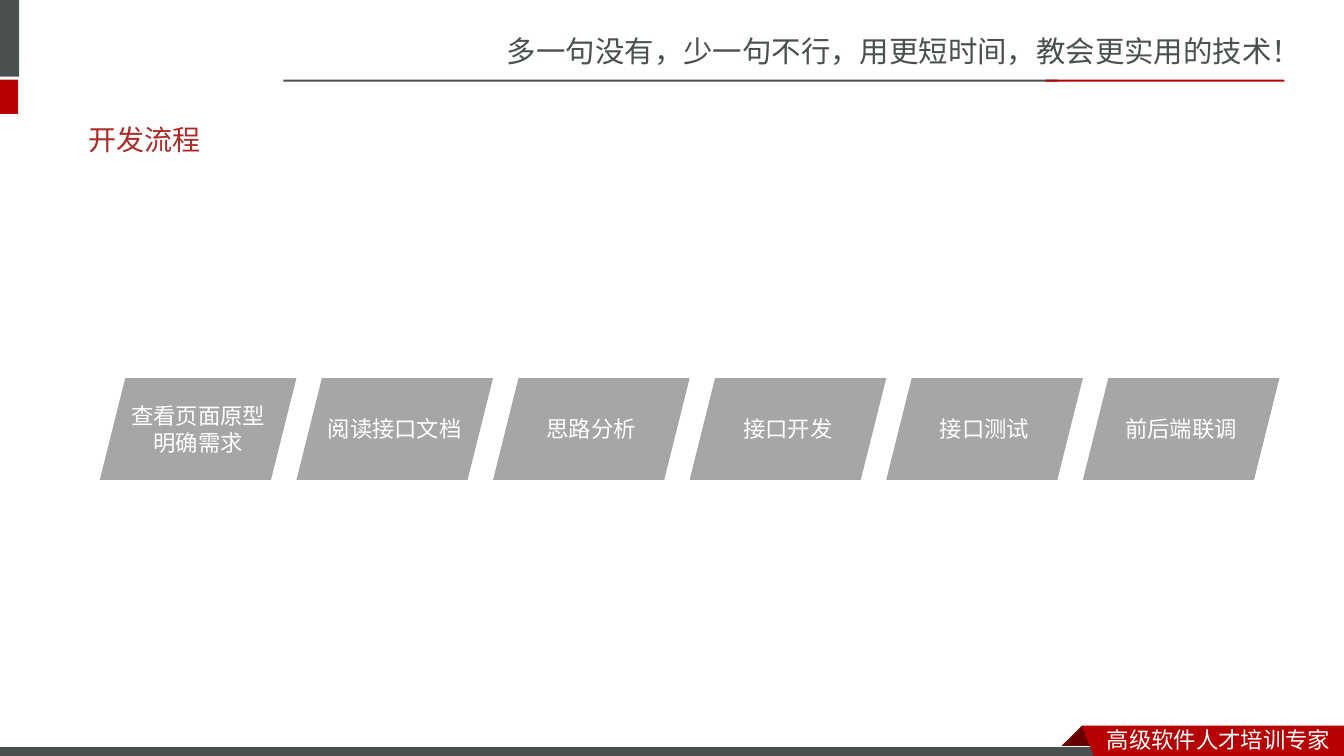
from lxml import etree
from pptx import Presentation
from pptx.dml.color import RGBColor
from pptx.enum.shapes import MSO_SHAPE as SHAPE
from pptx.enum.text import MSO_ANCHOR as ANCHOR, MSO_AUTO_SIZE as AUTO_SIZE, PP_ALIGN as ALIGN
from pptx.oxml.ns import qn
from pptx.util import Inches, Pt

SLATE = RGBColor(0x49, 0x50, 0x4F)
RED = RGBColor(0xB6, 0x00, 0x04)
DARK_RED = RGBColor(0x68, 0x00, 0x00)
TITLE_RED = RGBColor(0xAD, 0x2A, 0x26)
GRAY = RGBColor(0xA6, 0xA6, 0xA6)
WHITE = RGBColor(0xFF, 0xFF, 0xFF)

CJK_FONT = "Noto Sans CJK SC"
STEPS = [
    ["查看页面原型", "明确需求"],
    ["阅读接口文档"],
    ["思路分析"],
    ["接口开发"],
    ["接口测试"],
    ["前后端联调"],
]
STEP_LEFT, STEP_TOP, STEP_WIDTH, STEP_HEIGHT = 0.99, 3.75, 1.95, 1.01


def write_lines(tf, lines, font, size, color, align=ALIGN.LEFT):
    for i, line in enumerate(lines):
        p = tf.paragraphs[0] if i == 0 else tf.add_paragraph()
        p.alignment = align
        r = p.add_run()
        r.text = line
        for name, value in {"name": font, "size": Pt(size)}.items():
            setattr(r.font, name, value)
        r.font.color.rgb = color
        east_asian = etree.Element(qn("a:ea"), typeface=CJK_FONT)
        r.font._element.find(qn("a:latin")).addnext(east_asian)


def paint(s, fill, line=None):
    s.shadow.inherit = False
    s.fill.solid()
    s.fill.fore_color.rgb = fill
    if line is None:
        s.line.fill.background()
    else:
        s.line.color.rgb = line
        s.line.width = Pt(0.75)


def add_block(slide, box, fill, line=None, kind=SHAPE.RECTANGLE):
    s = slide.shapes.add_shape(kind, *map(Inches, box))
    paint(s, fill, line)
    return s


def add_polygon(slide, points, fill):
    start, *rest = [(Inches(x), Inches(y)) for x, y in points]
    builder = slide.shapes.build_freeform(*start)
    builder.add_line_segments(rest, close=True)
    paint(builder.convert_to_shape(), fill)


def add_label(slide, box, text, size, color):
    tf = slide.shapes.add_textbox(*map(Inches, box)).text_frame
    tf.word_wrap = True
    write_lines(tf, [text], CJK_FONT, size, color)


def add_header(slide):
    add_label(slide, (4.93, 0.28, 8.41, 0.47),
              "多一句没有，少一句不行，用更短时间，教会更实用的技术！", 21, SLATE)
    add_block(slide, (-0.06, 0, 0.25, 0.76), SLATE)
    add_block(slide, (-0.06, 0.79, 0.24, 0.34), RED)
    add_block(slide, (2.81, 0.79, 7.68, 0.02), SLATE)
    add_block(slide, (10.37, 0.79, 2.37, 0.02), RED)


def add_footer(slide):
    add_polygon(slide, [(10.73, 7.2), (10.95, 7.42), (10.94, 7.43),
                        (10.52, 7.43), (10.51, 7.42)], DARK_RED)
    add_block(slide, (-0.01, 7.41, 11, 0.12), SLATE, WHITE)
    add_polygon(slide, [(10.73, 7.2), (13.33, 7.2), (13.33, 7.54), (10.86, 7.53)], RED)
    add_label(slide, (10.88, 7.15, 2.45, 0.37), "高级软件人才培训专家", 16, WHITE)


def set_title(slide, text):
    s = slide.shapes.title
    box = {"left": 0.78, "top": 1.1, "width": 11.76, "height": 0.57}
    for name, value in box.items():
        setattr(s, name, Inches(value))
    tf = s.text_frame
    tf.auto_size = AUTO_SIZE.NONE
    tf.vertical_anchor = ANCHOR.MIDDLE
    write_lines(tf, [text], "Roboto", 20, TITLE_RED)


def add_step(slide, index, lines):
    box = (STEP_LEFT + index * STEP_WIDTH, STEP_TOP, STEP_WIDTH, STEP_HEIGHT)
    tf = add_block(slide, box, GRAY, kind=SHAPE.PARALLELOGRAM).text_frame
    for side in ("left", "top", "right", "bottom"):
        setattr(tf, f"margin_{side}", 0)
    tf.vertical_anchor = ANCHOR.MIDDLE
    write_lines(tf, lines, "Calibri", 16, WHITE, ALIGN.CENTER)


def main():
    prs = Presentation()
    prs.slide_width, prs.slide_height = Inches(13.33), Inches(7.5)
    title_only = prs.slide_layouts[5]
    slide = prs.slides.add_slide(title_only)
    add_header(slide)
    add_footer(slide)
    set_title(slide, "开发流程")
    for index, lines in enumerate(STEPS):
        add_step(slide, index, lines)
    prs.save("out.pptx")


if __name__ == "__main__":
    main()
